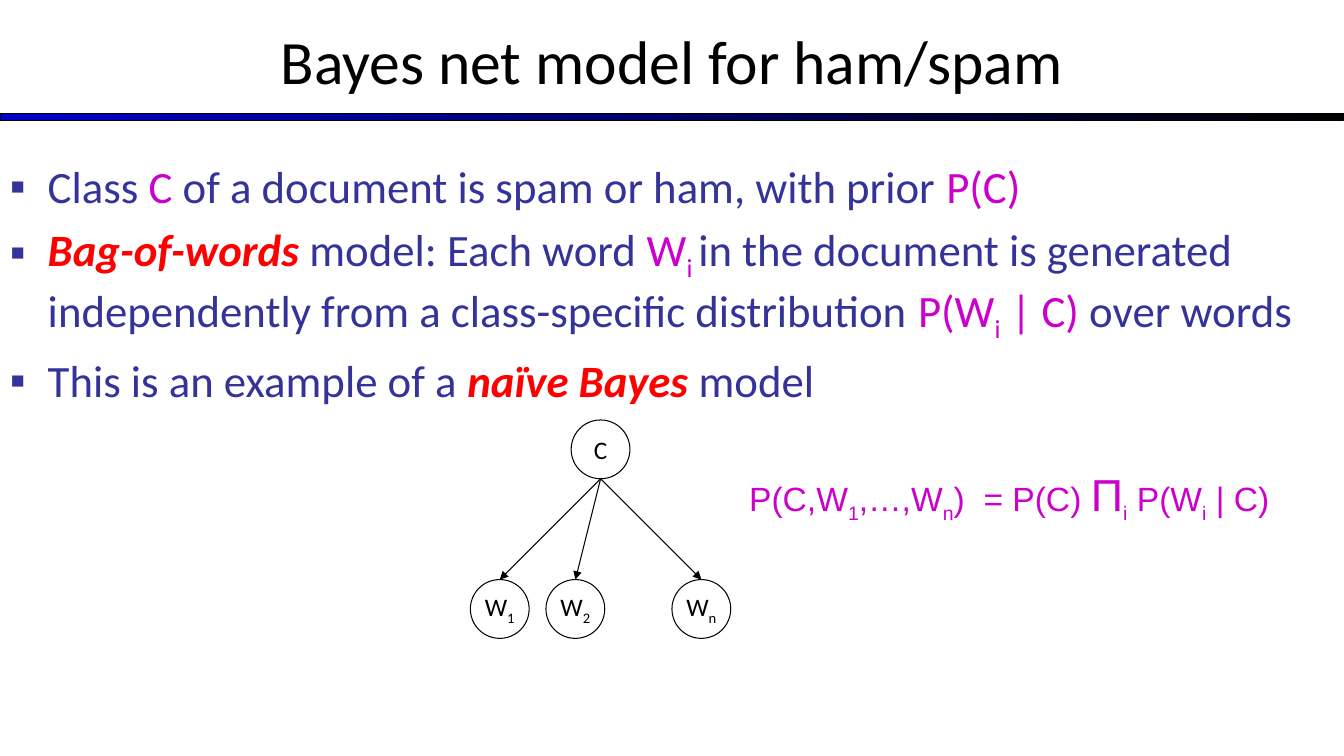
from dataclasses import dataclass

from lxml.etree import SubElement
from pptx import Presentation
from pptx.dml.color import RGBColor
from pptx.enum.shapes import MSO_CONNECTOR, MSO_SHAPE
from pptx.enum.text import MSO_ANCHOR, MSO_AUTO_SIZE, PP_ALIGN
from pptx.oxml.ns import qn
from pptx.slide import Slide
from pptx.text.text import TextFrame, _Paragraph as Paragraph
from pptx.util import Pt

COLORS = {
    "black": "000000",
    "rule": "0000CC",
    "body": "333399",
    "math": "CC00CC",
    "term": "FF0000",
}
SLIDE_WIDTH, SLIDE_HEIGHT = 960, 540
NODE_SIZE = 42
LINE_WIDTH = 0.75
BULLET_INDENT = 27


@dataclass(frozen=True)
class Span:
    text: str
    color: str = "body"
    subscript: bool = False
    emphasis: bool = False
    size: float = 0  # 0 keeps the size of the paragraph
    spacing: float = 0


@dataclass(frozen=True)
class Node:
    left: float
    top: float
    letter: str
    index: str = ""

    @property
    def center(self) -> float:
        return self.left + NODE_SIZE / 2


BULLETS = [
    [
        Span("Class "),
        Span("C", "math"),
        Span(" of a document is spam or ham, with prior "),
        Span("P(C)", "math"),
    ],
    [
        Span("Bag-of-words ", "term", emphasis=True),
        Span("model: Each word "),
        Span("W", "math"),
        Span("i ", "math", subscript=True),
        Span("in the document is generated independently from a class-specific distribution "),
        Span("P(W", "math"),
        Span("i", "math", subscript=True),
        Span(" | C) ", "math"),
        Span("over words"),
    ],
    [
        Span("This is an example of a "),
        Span("naïve Bayes ", "term", emphasis=True),
        Span("model"),
    ],
]
FORMULA = [
    Span("P(C,W", "math"),
    Span("1", "math", subscript=True),
    Span(",…,W", "math"),
    Span("n", "math", subscript=True),
    Span(")", "math"),
    Span(" ", "math", spacing=6.67),
    Span("= P(C) ", "math"),
    Span("Π", "math", size=32),
    Span("i", "math", subscript=True),
    Span(" P(W", "math"),
    Span("i", "math", subscript=True),
    Span(" | C)", "math"),
]
CLASS_NODE = Node(408, 300, "C")
WORD_NODES = [Node(336, 414, "W", "1"), Node(390, 414, "W", "2"), Node(480, 414, "W", "n")]


def rgb(name: str) -> RGBColor:
    return RGBColor.from_string(COLORS[name])


def add_spans(paragraph: Paragraph, spans: list[Span], size: float, font: str = "Calibri") -> None:
    for span in spans:
        run = paragraph.add_run()
        run.text = span.text
        run.font.name = font
        run.font.size = Pt(span.size or size)
        run.font.color.rgb = rgb(span.color)
        run.font.bold = run.font.italic = span.emphasis
        properties = run._r.get_or_add_rPr()
        if span.subscript:
            properties.set("baseline", "-25000")
        if span.spacing:
            properties.set("spc", str(round(span.spacing * 100)))


def add_text_box(slide: Slide, left: float, top: float, width: float, height: float) -> TextFrame:
    shape = slide.shapes.add_textbox(Pt(left), Pt(top), Pt(width), Pt(height))
    shape.text_frame.word_wrap = True
    return shape.text_frame


def set_bullet(paragraph: Paragraph) -> None:
    properties = paragraph._p.get_or_add_pPr()
    properties.set("marL", str(Pt(BULLET_INDENT)))
    properties.set("indent", str(-Pt(BULLET_INDENT)))
    color = SubElement(properties, qn("a:buClr"))
    SubElement(color, qn("a:srgbClr"), val=COLORS["body"])
    SubElement(properties, qn("a:buFont"), typeface="Arial")
    SubElement(properties, qn("a:buChar"), char="▪")


def add_title(slide: Slide) -> None:
    frame = add_text_box(slide, 0, -2, SLIDE_WIDTH, 90)
    frame.vertical_anchor = MSO_ANCHOR.MIDDLE
    paragraph = frame.paragraphs[0]
    paragraph.alignment = PP_ALIGN.CENTER
    add_spans(paragraph, [Span("Bayes net model for ham/spam", "black")], 44)


def add_title_rule(slide: Slide) -> None:
    rule = slide.shapes.add_shape(MSO_SHAPE.RECTANGLE, Pt(0), Pt(81), Pt(SLIDE_WIDTH), Pt(5))
    rule.shadow.inherit = False
    rule.fill.gradient()
    rule.fill.gradient_angle = 0
    for stop, position, color in zip(rule.fill.gradient_stops, (0, 1), ("rule", "black")):
        stop.position = position
        stop.color.rgb = rgb(color)
    rule.line.color.rgb = rgb("black")
    rule.line.width = Pt(LINE_WIDTH)


def add_bullets(slide: Slide) -> None:
    frame = add_text_box(slide, 0, 110, SLIDE_WIDTH, 160)
    for number, spans in enumerate(BULLETS):
        paragraph = frame.add_paragraph() if number else frame.paragraphs[0]
        set_bullet(paragraph)
        if number:
            paragraph.space_before = Pt(6.4)
        add_spans(paragraph, spans, 32)


def add_node(slide: Slide, node: Node) -> None:
    circle = slide.shapes.add_shape(
        MSO_SHAPE.OVAL, Pt(node.left), Pt(node.top), Pt(NODE_SIZE), Pt(NODE_SIZE)
    )
    circle.shadow.inherit = False
    circle.fill.background()
    circle.line.color.rgb = rgb("black")
    circle.line.width = Pt(LINE_WIDTH)
    frame = circle.text_frame
    frame.word_wrap = False
    frame.vertical_anchor = MSO_ANCHOR.MIDDLE
    paragraph = frame.paragraphs[0]
    paragraph.alignment = PP_ALIGN.CENTER
    spans = [Span(node.letter, "black")]
    if node.index:
        spans.append(Span(node.index, "black", subscript=True))
    add_spans(paragraph, spans, 18)


def add_arrow(slide: Slide, parent: Node, child: Node) -> None:
    arrow = slide.shapes.add_connector(
        MSO_CONNECTOR.STRAIGHT,
        Pt(parent.center), Pt(parent.top + NODE_SIZE), Pt(child.center), Pt(child.top),
    )
    arrow.line.color.rgb = rgb("black")
    arrow.line.width = Pt(LINE_WIDTH)
    SubElement(arrow.line._get_or_add_ln(), qn("a:tailEnd"), type="triangle")
    SubElement(arrow._element.spPr, qn("a:effectLst"))


def add_formula(slide: Slide) -> None:
    frame = add_text_box(slide, 528, 330, 394.5, 46)
    frame.word_wrap = False
    frame.auto_size = MSO_AUTO_SIZE.SHAPE_TO_FIT_TEXT
    add_spans(frame.paragraphs[0], FORMULA, 24, "Arial")


def main() -> None:
    presentation = Presentation()
    presentation.slide_width = Pt(SLIDE_WIDTH)
    presentation.slide_height = Pt(SLIDE_HEIGHT)
    slide = presentation.slides.add_slide(presentation.slide_layouts[6])
    add_title_rule(slide)
    add_title(slide)
    add_bullets(slide)
    add_node(slide, CLASS_NODE)
    for word_node in WORD_NODES:
        add_node(slide, word_node)
        add_arrow(slide, CLASS_NODE, word_node)
    add_formula(slide)
    presentation.save("out.pptx")


if __name__ == "__main__":
    main()
